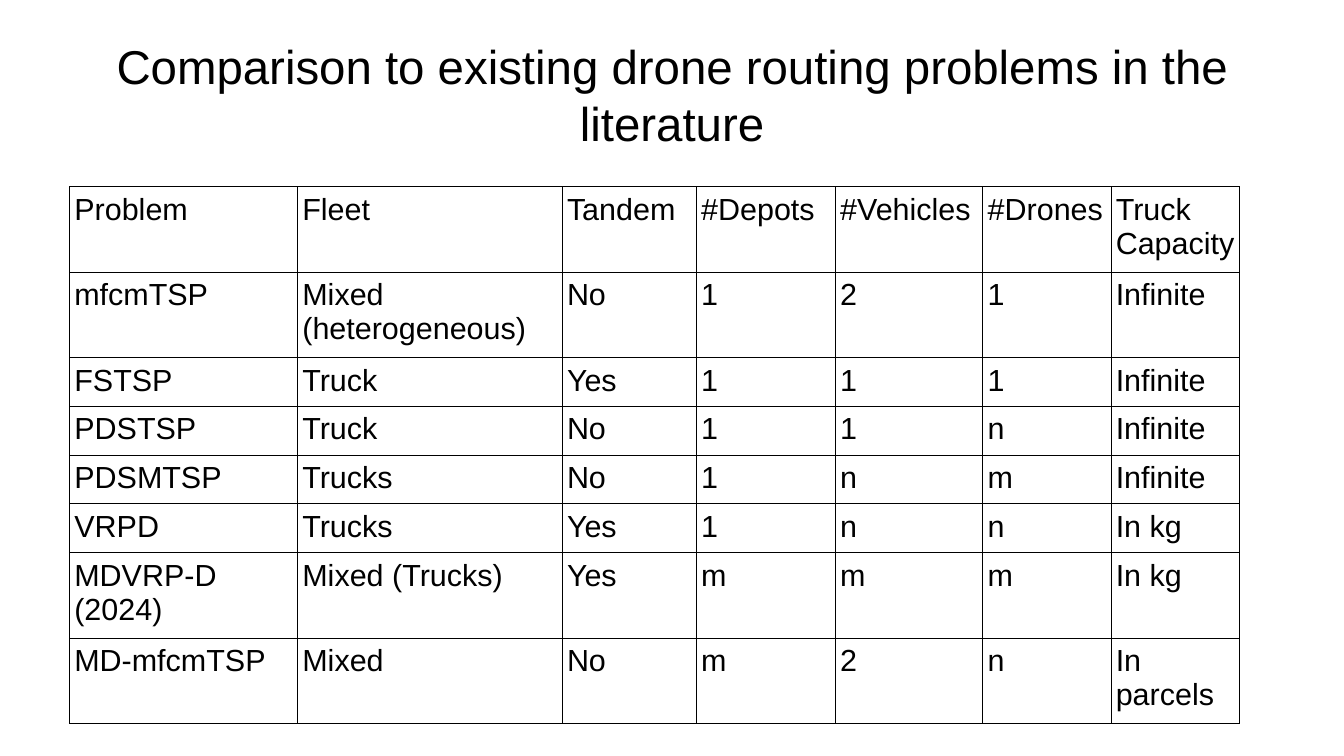
"""Build a slide comparing drone routing problems in a bordered table."""
from dataclasses import astuple, dataclass

import pptx
import pptx.dml.color
import pptx.enum.text
import pptx.oxml.ns
import pptx.slide
import pptx.table
import pptx.text.text
import pptx.util
from lxml import etree
from pptx.util import Inches

BLACK = pptx.dml.color.RGBColor(0x00, 0x00, 0x00)
FONT = "Arial"
BORDER_WIDTH = pptx.util.Pt(0.57)
COLUMN_WIDTHS = (1.87, 2.17, 1.1, 1.14, 1.21, 1.05, 1.05)
SINGLE_LINE_HEIGHT = 0.4
DOUBLE_LINE_HEIGHT = 0.7


@dataclass(frozen=True)
class Problem:
    name: str
    fleet: str
    tandem: str
    depots: str
    vehicles: str
    drones: str
    capacity: str
    height: float = SINGLE_LINE_HEIGHT


PROBLEMS = (
    Problem("Problem", "Fleet", "Tandem", "#Depots", "#Vehicles", "#Drones",
            "Truck Capacity", DOUBLE_LINE_HEIGHT),
    Problem("mfcmTSP", "Mixed\n(heterogeneous)", "No", "1", "2", "1",
            "Infinite", DOUBLE_LINE_HEIGHT),
    Problem("FSTSP", "Truck", "Yes", "1", "1", "1", "Infinite"),
    Problem("PDSTSP", "Truck", "No", "1", "1", "n", "Infinite"),
    Problem("PDSMTSP", "Trucks", "No", "1", "n", "m", "Infinite"),
    Problem("VRPD", "Trucks", "Yes", "1", "n", "n", "In kg"),
    Problem("MDVRP-D (2024)", "Mixed (Trucks)", "Yes", "m", "m", "m",
            "In kg", DOUBLE_LINE_HEIGHT),
    Problem("MD-mfcmTSP", "Mixed", "No", "m", "2", "n",
            "In parcels", DOUBLE_LINE_HEIGHT),
)


def write_text(
    frame: pptx.text.text.TextFrame,
    text: str,
    *,
    size: float,
    color: pptx.dml.color.RGBColor = BLACK,
    alignment: pptx.enum.text.PP_ALIGN = pptx.enum.text.PP_ALIGN.LEFT,
) -> None:
    frame.text = text
    frame.word_wrap = True
    for paragraph in frame.paragraphs:
        paragraph.alignment = alignment
        for run in paragraph.runs:
            run.font.name = FONT
            run.font.size = pptx.util.Pt(size)
            run.font.color.rgb = color


def add_borders(cell: pptx.table._Cell) -> None:
    properties = cell._tc.get_or_add_tcPr()
    for side in ("a:lnL", "a:lnR", "a:lnT", "a:lnB"):
        line = etree.SubElement(properties, pptx.oxml.ns.qn(side), w=str(BORDER_WIDTH))
        fill = etree.SubElement(line, pptx.oxml.ns.qn("a:solidFill"))
        etree.SubElement(fill, pptx.oxml.ns.qn("a:srgbClr"), val=str(BLACK))


def fill_cell(cell: pptx.table._Cell, text: str) -> None:
    write_text(cell.text_frame, text, size=18)
    cell.margin_left = Inches(0.04)
    cell.margin_right = Inches(0.03)
    cell.margin_top = cell.margin_bottom = Inches(0.05)
    add_borders(cell)
    cell.fill.background()


def add_title(slide: pptx.slide.Slide, text: str) -> None:
    shape = slide.shapes.add_textbox(Inches(0.55), Inches(0.25), Inches(9.92), Inches(1.04))
    frame = shape.text_frame
    frame.margin_left = frame.margin_right = frame.margin_top = frame.margin_bottom = 0
    frame.vertical_anchor = pptx.enum.text.MSO_ANCHOR.MIDDLE
    write_text(frame, text, size=28, alignment=pptx.enum.text.PP_ALIGN.CENTER)


def add_comparison(slide: pptx.slide.Slide, problems: tuple[Problem, ...]) -> None:
    table = slide.shapes.add_table(
        len(problems), len(COLUMN_WIDTHS), Inches(0.57), Inches(1.53),
        Inches(sum(COLUMN_WIDTHS)), Inches(sum(problem.height for problem in problems)),
    ).table
    table.first_row = table.horz_banding = False
    for column, width in zip(table.columns, COLUMN_WIDTHS):
        column.width = Inches(width)
    for row, problem in zip(table.rows, problems):
        row.height = Inches(problem.height)
        for cell, text in zip(row.cells, astuple(problem)):
            fill_cell(cell, text)


def main() -> None:
    presentation = pptx.Presentation()
    presentation.slide_width = Inches(11.02)
    presentation.slide_height = Inches(6.2)
    slide = presentation.slides.add_slide(presentation.slide_layouts[6])
    add_title(slide, "Comparison to existing drone routing problems in the literature")
    add_comparison(slide, PROBLEMS)
    presentation.save("out.pptx")


if __name__ == "__main__":
    main()
